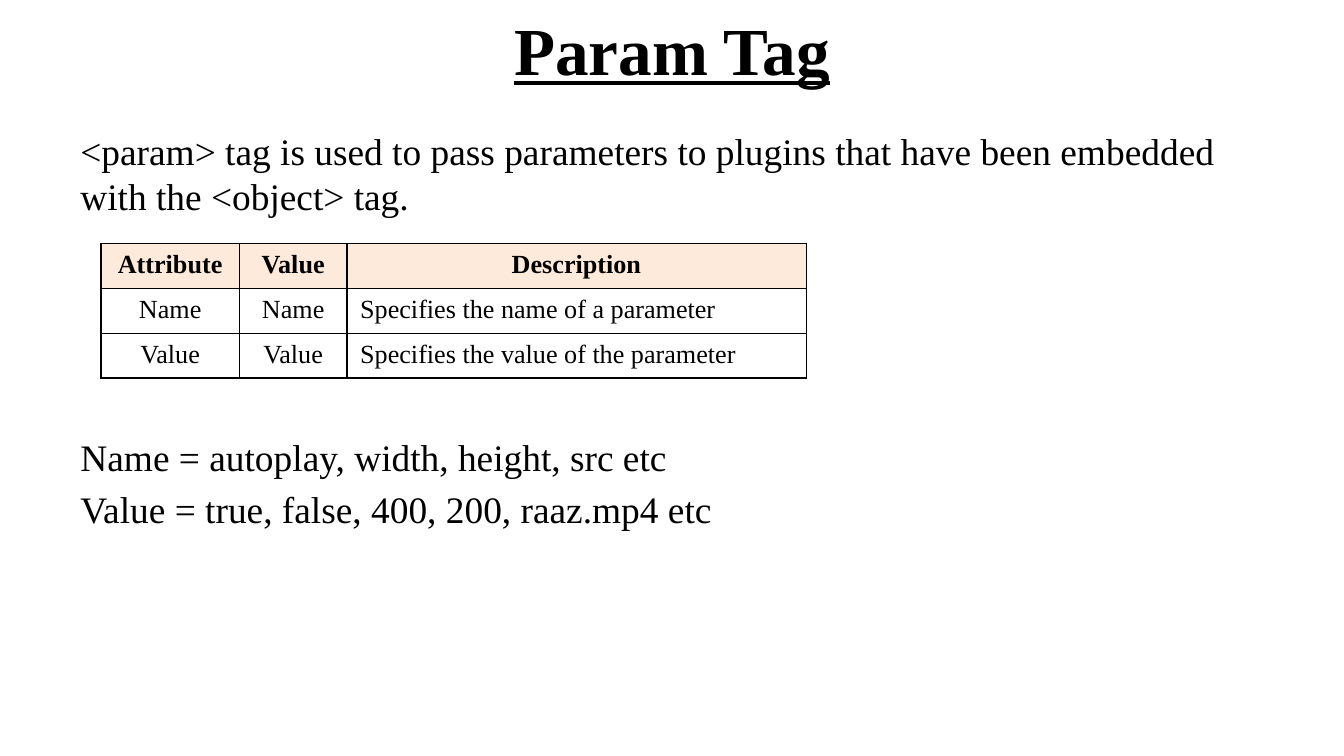
from lxml.etree import SubElement
from pptx import Presentation
from pptx.dml.color import RGBColor
from pptx.enum.text import MSO_ANCHOR, PP_ALIGN
from pptx.oxml.ns import qn
from pptx.util import Pt

BLACK = RGBColor(0x00, 0x00, 0x00)
PEACH = RGBColor(0xFD, 0xEA, 0xDA)


class SlideBuilder:
    font = "Times New Roman"

    def __init__(self, page):
        self.page = page

    def add_span(self, para, text, size, bold=False, underline=False):
        span = para.add_run()
        span.text = text
        span.font.name = self.font
        span.font.size = Pt(size)
        span.font.bold = bold
        span.font.underline = underline
        span.font.color.rgb = BLACK

    def title(self, text, left, top, width, height):
        box = self.page.shapes.title
        box.left, box.top, box.width, box.height = map(Pt, (left, top, width, height))
        box.text_frame.vertical_anchor = MSO_ANCHOR.MIDDLE
        para = box.text_frame.paragraphs[0]
        para.alignment = PP_ALIGN.CENTER
        self.add_span(para, text, 36, bold=True, underline=True)

    def text(self, lines, left, top, width, height):
        """Add (text, space before) pairs as paragraphs."""
        box = self.page.shapes.add_textbox(*map(Pt, (left, top, width, height)))
        frame = box.text_frame
        frame.word_wrap = True
        for index, (text, gap) in enumerate(lines):
            para = frame.add_paragraph() if index else frame.paragraphs[0]
            para.space_before = Pt(gap)
            self.add_span(para, text, 20)

    def border(self, cell):
        properties = cell._tc.get_or_add_tcPr()
        for index, side in enumerate(("lnL", "lnR", "lnT", "lnB")):
            line = properties.makeelement(qn(f"a:{side}"), {"w": str(Pt(1))})
            fill = SubElement(line, qn("a:solidFill"))
            SubElement(fill, qn("a:srgbClr"), val=str(BLACK))
            properties.insert(index, line)

    def table(self, rows, widths, row_height, left, top):
        shape = self.page.shapes.add_table(
            len(rows), len(widths), Pt(left), Pt(top),
            Pt(sum(widths)), Pt(row_height * len(rows)))
        table = shape.table
        for column, width in zip(table.columns, widths):
            column.width = Pt(width)
        for r, row in enumerate(rows):
            for c, text in enumerate(row):
                cell = table.cell(r, c)
                header = r == 0
                if header:
                    cell.fill.solid()
                    cell.fill.fore_color.rgb = PEACH
                else:
                    cell.fill.background()
                self.border(cell)
                para = cell.text_frame.paragraphs[0]
                centred = header or c < 2
                para.alignment = PP_ALIGN.CENTER if centred else PP_ALIGN.LEFT
                self.add_span(para, text, 14, bold=header)


def main():
    deck = Presentation()
    deck.slide_width, deck.slide_height = Pt(720), Pt(405)
    builder = SlideBuilder(deck.slides.add_slide(deck.slide_layouts[5]))

    # Heading
    builder.title("Param Tag", 36, -1.5, 648, 55.5)

    # Explanation above the table, examples below it
    builder.text([
        ("<param> tag is used to pass parameters to plugins that have been "
         "embedded with the <object> tag.", 0),
        ("Name = autoplay, width, height, src etc", 116),
        ("Value = true, false, 400, 200, raaz.mp4 etc", 4),
    ], 36, 65, 648, 267)

    # Attributes of the tag
    builder.table([
        ("Attribute", "Value", "Description"),
        ("Name", "Name", "Specifies the name of a parameter"),
        ("Value", "Value", "Specifies the value of the parameter"),
    ], (74.4, 57.4, 246.2), 18, 54, 130.5)

    deck.save("out.pptx")


if __name__ == "__main__":
    main()
